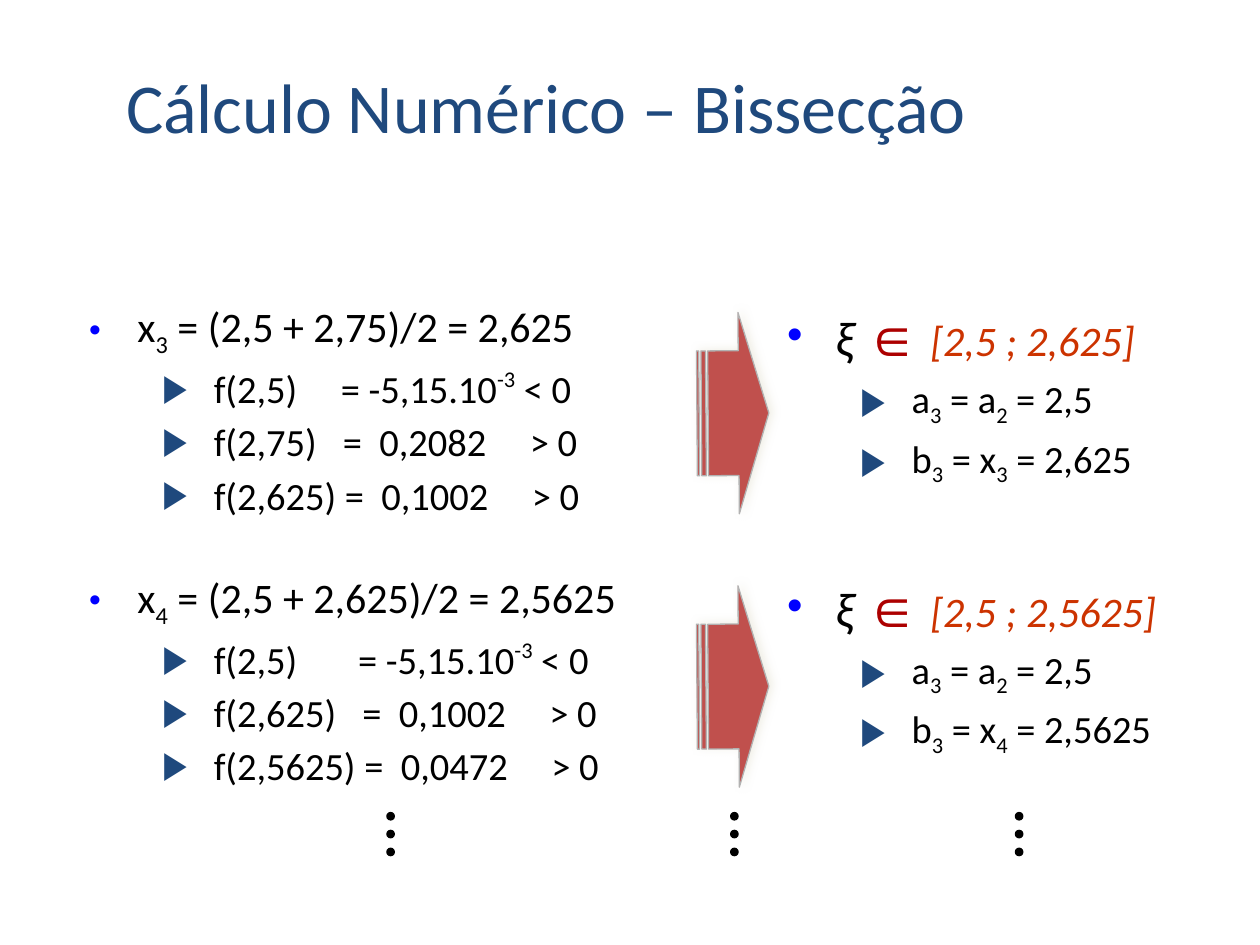
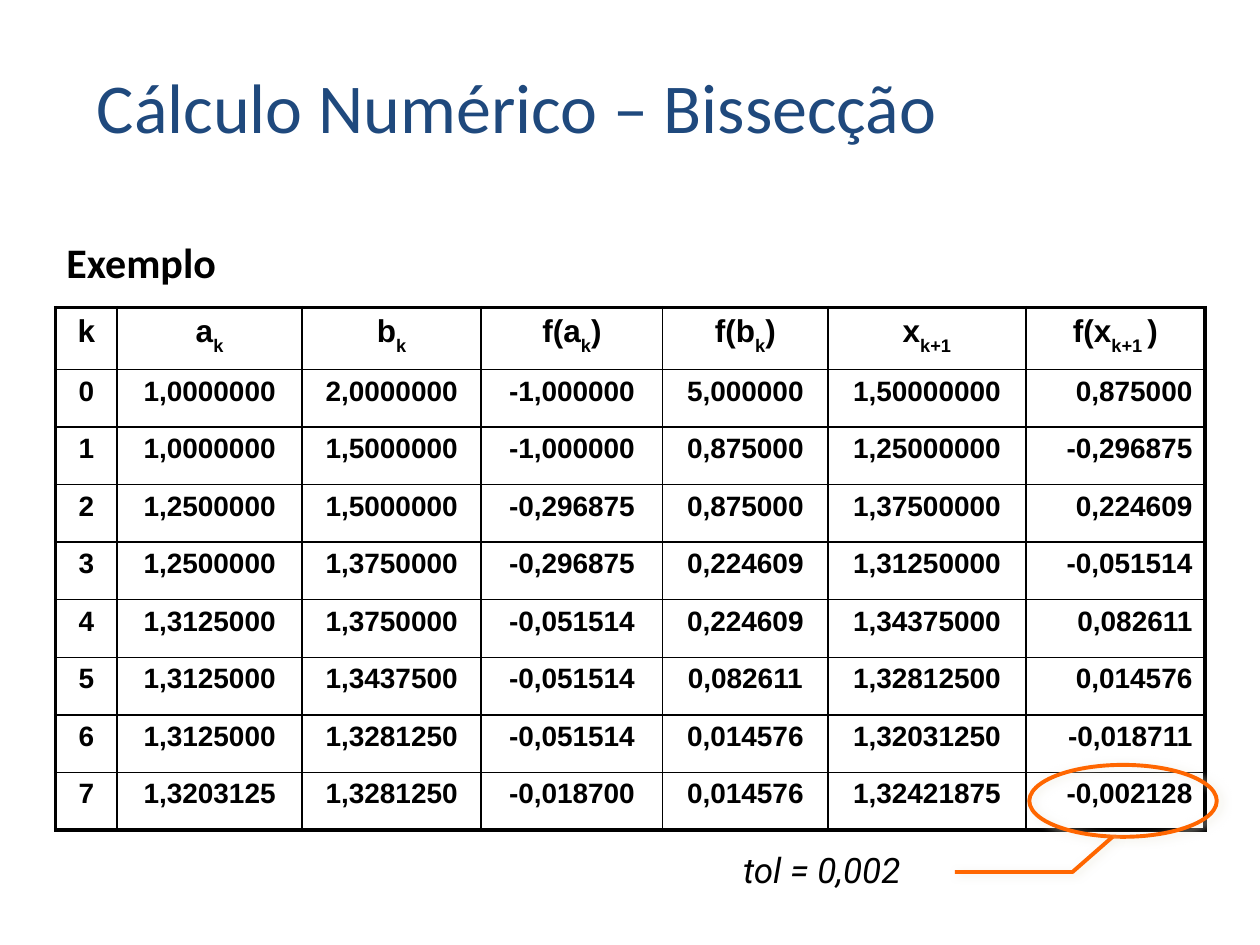
from lxml import etree
from pptx import Presentation
from pptx.dml.color import RGBColor
from pptx.enum.shapes import MSO_SHAPE
from pptx.enum.text import MSO_ANCHOR, MSO_AUTO_SIZE, PP_ALIGN
from pptx.oxml.ns import qn
from pptx.util import Cm, Pt

BLACK, NAVY, BLUE = "000000", "1F497D", "0000FF"
BRICK, GREY, ORANGE = "C0504D", "B2B2B2", "FF6600"
DARK_RED, RUST, CREAM = "AC0000", "CC3300", "EEECE1"

TITLE = "Cálculo Numérico – Bissecção"
TITLE_FONT = {"name": "Calibri", "size": Pt(40), "color": NAVY}
STEP_FONT = {"name": "Calibri", "size": Pt(24), "color": BLACK}
DETAIL_FONT = STEP_FONT | {"size": Pt(22)}
CELL_FONT = {"name": "Arial", "size": Pt(16), "bold": True, "color": BLACK}
SPACE_WIDTH = 0.226  # width of a Calibri space, in ems


def rgb(value):
    return RGBColor.from_string(value)


def add_xml(parent, tag, **attributes):
    values = {key: str(value) for key, value in attributes.items()}
    return etree.SubElement(parent, qn(tag), values)


class Deck:
    def __init__(self):
        self.prs = Presentation()
        self.prs.slide_width, self.prs.slide_height = Cm(25.4), Cm(19.05)
        self.slide = None

    def new_slide(self, title_left):
        self.slide = self.prs.slides.add_slide(self.prs.slide_layouts[5])
        title = self.slide.shapes.title
        place = {"left": Cm(title_left), "top": Cm(1.32), "width": Cm(21.64), "height": Cm(1.78)}
        for name, value in place.items():
            setattr(title, name, value)
        frame = title.text_frame
        frame.auto_size = MSO_AUTO_SIZE.NONE
        frame.vertical_anchor = MSO_ANCHOR.BOTTOM
        frame.paragraphs[0].alignment = PP_ALIGN.LEFT
        self.add_parts(frame.paragraphs[0], [TITLE], TITLE_FONT)

    def add_run(self, paragraph, text, style, **attributes):
        run = paragraph.add_run()
        run.text = text
        for name, value in style.items():
            if name == "color":
                run.font.color.rgb = rgb(value)
            else:
                setattr(run.font, name, value)
        for name, value in attributes.items():
            run._r.get_or_add_rPr().set(name, str(value))

    def add_parts(self, paragraph, parts, style, sub=-25, sup=42):
        """A number is a gap that many spaces wide; |..| holds an index, or an exponent if negative."""
        for part in parts:
            if isinstance(part, int):
                widening = (part - 1) * SPACE_WIDTH * style["size"].pt
                self.add_run(paragraph, " ", style, spc=round(widening * 100))
                continue
            text, extra = part if isinstance(part, tuple) else (part, {})
            for position, piece in enumerate(text.split("|")):
                if not piece:
                    continue
                shift = {}
                if position % 2:
                    shift = {"baseline": (sup if piece.startswith("-") else sub) * 1000}
                self.add_run(paragraph, piece, style | extra, **shift)

    def text_box(self, left, top, width, height):
        box = self.slide.shapes.add_textbox(Cm(left), Cm(top), Cm(width), Cm(height))
        box.text_frame.word_wrap = True
        return box.text_frame

    def label(self, left, top, width, height, text, style):
        frame = self.text_box(left, top, width, height)
        self.add_parts(frame.paragraphs[0], [text], style)

    def bullet(self, paragraph, char, color, percent, margin, hanging):
        props = paragraph._p.get_or_add_pPr()
        props.set("marL", str(Cm(margin)))
        props.set("indent", str(-Cm(hanging)))
        add_xml(add_xml(props, "a:buClr"), "a:srgbClr", val=color)
        add_xml(props, "a:buSzPct", val=percent * 1000)
        add_xml(props, "a:buFont", typeface="Arial")
        add_xml(props, "a:buChar", char=char)

    def step(self, left, top, width, lines, dot_size):
        """One bulleted heading with its details below."""
        frame = self.text_box(left, top, width, 4.83)
        for number, parts in enumerate(lines):
            paragraph = frame.add_paragraph() if number else frame.paragraphs[0]
            paragraph.alignment = PP_ALIGN.JUSTIFY
            if number:
                paragraph.level = 1
                paragraph.space_before = Pt(4)
                self.bullet(paragraph, "▶", NAVY, 100, 2.51, 1.04)
            else:
                self.bullet(paragraph, "•", BLUE, dot_size, 0.97, 0.97)
            self.add_parts(paragraph, parts, DETAIL_FONT if number else STEP_FONT)

    def paint(self, shape, fill, line, weight, shadow_angle=None):
        shape.shadow.inherit = False
        if fill:
            shape.fill.solid()
            shape.fill.fore_color.rgb = rgb(fill)
        else:
            shape.fill.background()
        shape.line.color.rgb = rgb(line)
        shape.line.width = Pt(weight)
        if shadow_angle is not None:
            effects = shape._element.spPr.find(qn("a:effectLst"))
            shadow = add_xml(effects, "a:outerShdw", blurRad=Pt(5), dist=Pt(2.3),
                             dir=shadow_angle * 60000, algn="ctr", rotWithShape=0)
            add_xml(add_xml(shadow, "a:srgbClr", val=CREAM), "a:alpha", val=75000)

    def shape(self, kind, left, top, width, height, *look):
        shape = self.slide.shapes.add_shape(kind, Cm(left), Cm(top), Cm(width), Cm(height))
        self.paint(shape, *look)
        return shape

    def arrow(self, top):
        arrow = self.shape(MSO_SHAPE.STRIPED_RIGHT_ARROW, 14.05, top, 1.45, 4.06,
                           BRICK, GREY, 0.75, 335)
        arrow.adjustments[0] = 0.62
        arrow.adjustments[1] = 0.42
        arrow.rotation = -0.4

    def polyline(self, points, color, weight, shadow_angle):
        corners = [(Cm(x), Cm(y)) for x, y in points]
        builder = self.slide.shapes.build_freeform(*corners[0])
        builder.add_line_segments(corners[1:], close=False)
        self.paint(builder.convert_to_shape(), None, color, weight, shadow_angle)

    def border(self, cell, side, weight):
        line = add_xml(cell._tc.get_or_add_tcPr(), "a:ln" + side, w=Pt(weight))
        add_xml(add_xml(line, "a:solidFill"), "a:srgbClr", val=BLACK)

    def table(self, left, top, widths, header_height, row_height, rows):
        heights = [header_height] + [row_height] * (len(rows) - 1)
        table = self.slide.shapes.add_table(
            len(rows), len(widths), Cm(left), Cm(top), Cm(sum(widths)), Cm(sum(heights))).table
        table.first_row = table.horz_banding = False
        for column, width in zip(table.columns, widths):
            column.width = Cm(width)
        for row, height in zip(table.rows, heights):
            row.height = Cm(height)
        last_row, last_column = len(rows) - 1, len(widths) - 1
        for r, values in enumerate(rows):
            for c, value in enumerate(values):
                cell = table.cell(r, c)
                outer = {"L": c == 0, "R": c == last_column, "T": r == 0, "B": r == last_row}
                for side, is_outer in outer.items():
                    self.border(cell, side, 2.25 if is_outer else 1)
                cell.fill.background()
                paragraph = cell.text_frame.paragraphs[0]
                right = r and c == last_column
                paragraph.alignment = PP_ALIGN.RIGHT if right else PP_ALIGN.CENTER
                style = CELL_FONT if r else CELL_FONT | {"size": Pt(18)}
                # Only header cells carry an index
                self.add_parts(paragraph, [value], style, sub=-32)


def interval_heading(interval):
    return [("ξ ", {"size": Pt(28), "italic": True}),
            ("∈", {"name": "Arial", "size": Pt(32), "italic": True, "color": DARK_RED}),
            (f" {interval}", {"italic": True, "color": RUST})]


def iterations_slide(deck):
    deck.new_slide(2.29)

    # Third iteration
    deck.arrow(6.3)
    deck.step(1.55, 5.94, 11.89, [
        ["x|3| = (2,5 + 2,75)/2 = 2,625"],
        ["f(2,5)", 5, "= -5,15.10|-3| < 0"],
        ["f(2,75)", 3, "=", 2, "0,2082", 5, "> 0"],
        ["f(2,625) =", 2, "0,1002", 5, "> 0"]], 80)
    deck.step(15.62, 5.94, 9.17, [
        interval_heading("[2,5 ; 2,625]"),
        ["a|3| = a|2| = 2,5"],
        ["b|3| = x|3| = 2,625"]], 90)

    # Fourth iteration
    deck.arrow(11.81)
    deck.step(1.55, 11.4, 12.57, [
        ["x|4| = (2,5 + 2,625)/2 = 2,5625"],
        ["f(2,5)", 7, "= -5,15.10|-3| < 0"],
        ["f(2,625)", 3, "=", 2, "0,1002", 5, "> 0"],
        ["f(2,5625) =", 2, "0,0472", 5, "> 0"]], 80)
    deck.step(15.62, 11.4, 9.78, [
        interval_heading("[2,5 ; 2,5625]"),
        ["a|3| = a|2| = 2,5"],
        ["b|3| = x|4| = 2,5625"]], 90)

    # Vertical ellipses: the iterations go on
    for left in (7.8, 20.47, 14.73):
        for row in range(3):
            deck.shape(MSO_SHAPE.OVAL, left, 16.38 + row * 0.36, 0.15, 0.15, BLACK, BLACK, 0.75)


def example_slide(deck):
    deck.new_slide(1.7)

    # Table of iterations
    deck.table(1.12, 6.2, [1.24, 3.73, 3.61, 3.66, 3.33, 3.99, 3.61], 1.25, 1.16, [
        ["k", "a|k|", "b|k|", "f(a|k|)", "f(b|k|)", "x|k+1|", "f(x|k+1 |)"],
        ["0", "1,0000000", "2,0000000", "-1,000000", "5,000000", "1,50000000", "0,875000"],
        ["1", "1,0000000", "1,5000000", "-1,000000", "0,875000", "1,25000000", "-0,296875"],
        ["2", "1,2500000", "1,5000000", "-0,296875", "0,875000", "1,37500000", "0,224609"],
        ["3", "1,2500000", "1,3750000", "-0,296875", "0,224609", "1,31250000", "-0,051514"],
        ["4", "1,3125000", "1,3750000", "-0,051514", "0,224609", "1,34375000", "0,082611"],
        ["5", "1,3125000", "1,3437500", "-0,051514", "0,082611", "1,32812500", "0,014576"],
        ["6", "1,3125000", "1,3281250", "-0,051514", "0,014576", "1,32031250", "-0,018711"],
        ["7", "1,3203125", "1,3281250", "-0,018700", "0,014576", "1,32421875", "-0,002128"]])
    deck.label(1.09, 4.65, 23.27, 1.35, "Exemplo", STEP_FONT | {"bold": True})

    # Tolerance callout
    deck.shape(MSO_SHAPE.OVAL, 20.75, 15.42, 3.78, 1.45, None, ORANGE, 2.25, 25)
    deck.polyline([(22.43, 16.87), (21.62, 17.58), (19.25, 17.58)], ORANGE, 2.25, 27)
    deck.label(14.73, 16.99, 4.47, 1.09, "tol = 0,002",
               {"name": "Roboto", "size": Pt(20), "italic": True, "color": BLACK})


def main():
    deck = Deck()
    iterations_slide(deck)
    example_slide(deck)
    deck.prs.save("out.pptx")


if __name__ == "__main__":
    main()
